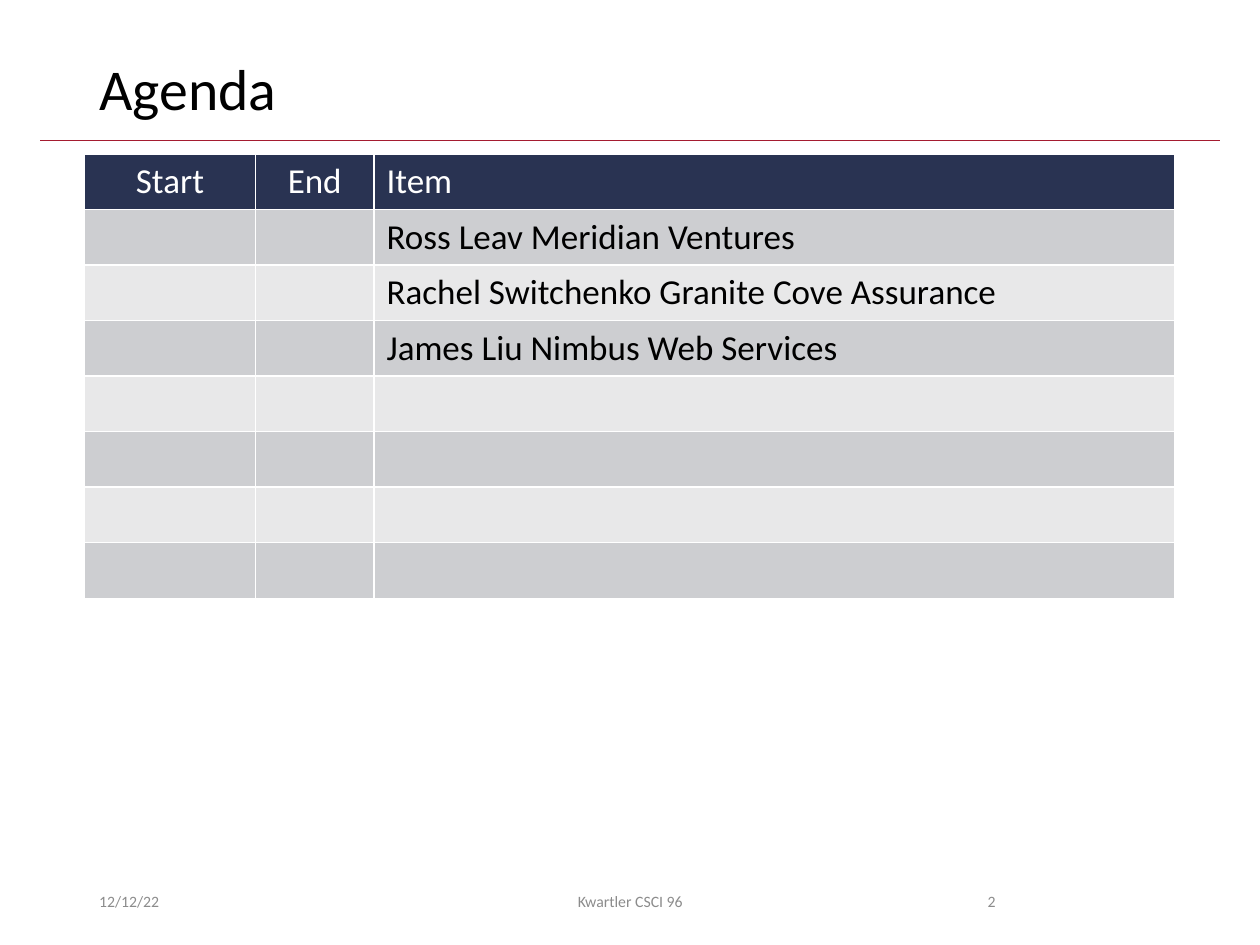
from lxml.etree import SubElement
from pptx import Presentation
from pptx.dml.color import RGBColor
from pptx.enum.shapes import MSO_CONNECTOR
from pptx.enum.text import MSO_ANCHOR, PP_ALIGN
from pptx.oxml import parse_xml
from pptx.oxml.ns import nsdecls, qn
from pptx.util import Cm, Pt


def color(hex_value):
    return RGBColor.from_string(hex_value)


def write_text(frame, text, size=20, fill="000000", align=PP_ALIGN.LEFT, spacing=None):
    frame.word_wrap = True
    frame.vertical_anchor = MSO_ANCHOR.MIDDLE
    paragraph = frame.paragraphs[0]
    paragraph.alignment = align
    paragraph.line_spacing = spacing
    run = paragraph.add_run()
    run.text = text
    run.font.name = "Calibri"
    run.font.size = Pt(size)
    run.font.color.rgb = color(fill)


presentation = Presentation()
presentation.slide_width = Cm(25.4)
presentation.slide_height = Cm(19.05)
slide = presentation.slides.add_slide(presentation.slide_layouts[5])

rule = slide.shapes.add_connector(
    MSO_CONNECTOR.STRAIGHT, Cm(0.81), Cm(2.84), Cm(24.59), Cm(2.84)
)
rule.line.color.rgb = color("A51C30")
rule.line.width = Pt(0.5)
SubElement(rule.element.spPr, qn("a:effectLst"))

title = slide.shapes.title
title.left, title.top, title.width, title.height = Cm(1.75), Cm(1.02), Cm(21.89), Cm(1.65)
write_text(title.text_frame, "Agenda", size=33, spacing=0.9)

agenda_rows = [
    ["Start", "End", "Item"],
    ["", "", "Ross Leav Meridian Ventures"],
    ["", "", "Rachel Switchenko Granite Cove Assurance"],
    ["", "", "James Liu Nimbus Web Services"],
] + [["", "", ""]] * 4
column_widths = [3.45, 2.39, 16.15]
row_height = 1.12

table = slide.shapes.add_table(
    len(agenda_rows), len(column_widths), Cm(1.7), Cm(3.1),
    Cm(sum(column_widths)), Cm(row_height * len(agenda_rows)),
).table
for column, width in zip(table.columns, column_widths):
    column.width = Cm(width)

for row_index, values in enumerate(agenda_rows):
    table.rows[row_index].height = Cm(row_height)
    is_header = row_index == 0
    row_fill = "293352" if is_header else ("E8E8E9", "CDCED1")[row_index % 2]
    for column_index, value in enumerate(values):
        cell = table.cell(row_index, column_index)
        properties = cell._tc.get_or_add_tcPr()
        for side in "LRTB":
            properties.append(parse_xml(
                f'<a:ln{side} {nsdecls("a")} w="{Pt(1)}"><a:solidFill>'
                f'<a:srgbClr val="FFFFFF"/></a:solidFill></a:ln{side}>'
            ))
        cell.fill.solid()
        cell.fill.fore_color.rgb = color(row_fill)
        if value:
            write_text(
                cell.text_frame, value,
                fill="FFFFFF" if is_header else "000000",
                align=PP_ALIGN.LEFT if column_index == 2 else PP_ALIGN.CENTER,
            )
            cell.vertical_anchor = MSO_ANCHOR.TOP

footers = [
    ("12/12/22", 1.75, 5.72, PP_ALIGN.LEFT),
    ("Kwartler CSCI 96", 8.41, 8.59, PP_ALIGN.CENTER),
    ("2", 17.93, 2.39, PP_ALIGN.RIGHT),
]
for text, left, width, align in footers:
    footer = slide.shapes.add_textbox(Cm(left), Cm(17.65), Cm(width), Cm(1.02))
    write_text(footer.text_frame, text, size=9, fill="8C8C8C", align=align)

presentation.save("out.pptx")
